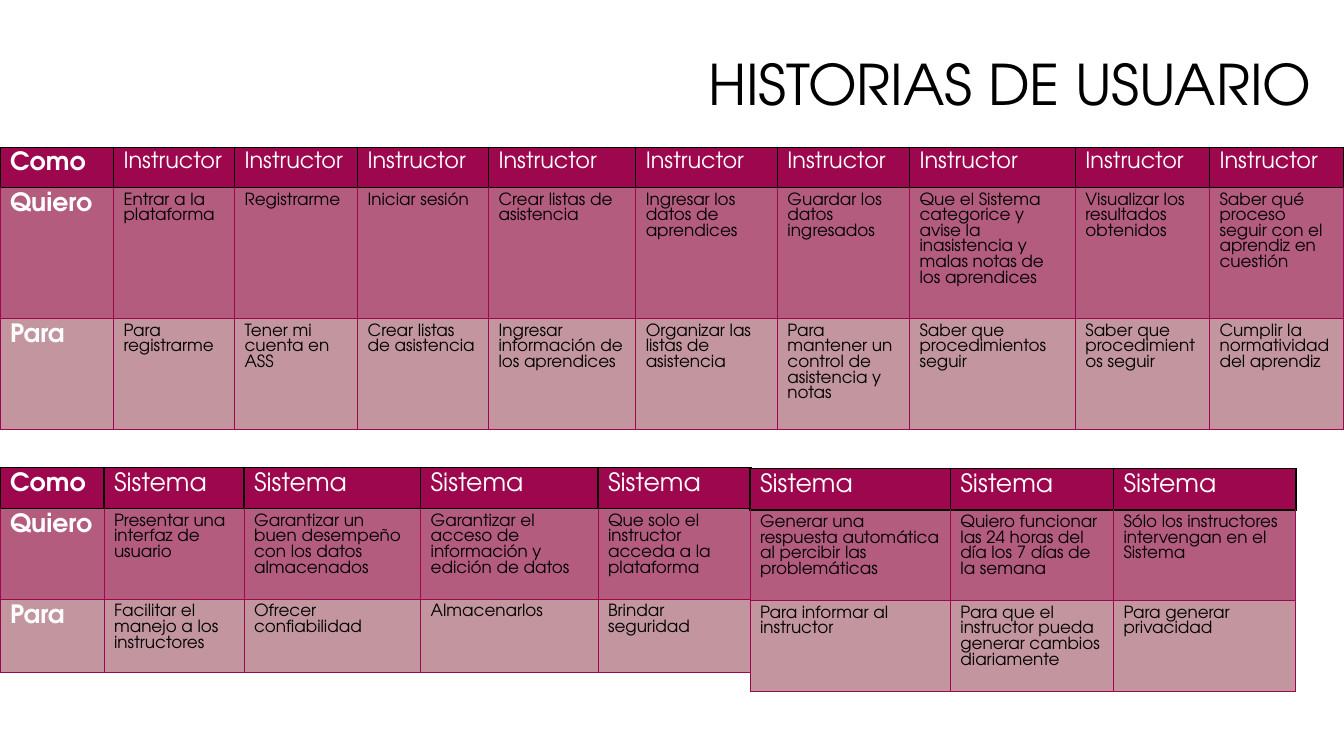
from lxml import etree
from pptx import Presentation, util as u
from pptx.dml.color import RGBColor
from pptx.enum import text
from pptx.oxml.ns import qn

FONT = "TeX Gyre Adventor"
BLACK = RGBColor(0x00, 0x00, 0x00)
WHITE = RGBColor(0xFF, 0xFF, 0xFF)
WINE = RGBColor(0x9D, 0x07, 0x4E)
ROSE = RGBColor(0xB3, 0x5C, 0x7E)
PALE = RGBColor(0xC2, 0x95, 0x9F)
FILLS = WINE, ROSE, PALE
LABELS = "Como", "Quiero", "Para"

TEACH = [
    (3.05, "Entrar a la plataforma", "Para registrarme"),
    (3.1, "Registrarme", "Tener mi cuenta en ASS"),
    (3.3, "Iniciar sesión", "Crear listas de asistencia"),
    (3.71, "Crear listas de asistencia", "Ingresar información de los aprendices"),
    (3.57, "Ingresar los datos de aprendices", "Organizar las listas de asistencia"),
    (3.33, "Guardar los datos ingresados",
     "Para mantener un control de asistencia y notas"),
    (4.18, "Que el Sistema categorice y avise la inasistencia y malas notas de los aprendices",
     "Saber que procedimientos seguir"),
    (3.38, "Visualizar los resultados obtenidos", "Saber que procedimientos seguir"),
    (3.38, "Saber qué proceso seguir con el aprendiz en cuestión",
     "Cumplir la normatividad del aprendiz"),
]
SYSTEM = [
    (3.53, "Presentar una interfaz de usuario", "Facilitar el manejo a los instructores"),
    (4.45, "Garantizar un buen desempeño con los datos almacenados", "Ofrecer confiabilidad"),
    (4.47, "Garantizar el acceso de información y edición de datos", "Almacenarlos"),
    (3.86, "Que solo el instructor acceda a la plataforma", "Brindar seguridad"),
]
EXTRA = [
    (5.05, "Generar una respuesta automática al percibir las problemáticas",
     "Para informar al instructor"),
    (4.11, "Quiero funcionar las 24 horas del día los 7 días de la semana",
     "Para que el instructor pueda generar cambios diariamente"),
    (4.6, "Sólo los instructores intervengan en el Sistema", "Para generar privacidad"),
]


def style(para, size, color, bold=False):
    """Format every run of a paragraph."""
    for run in para.runs:
        font = run.font
        font.name, font.size, font.bold = FONT, u.Pt(size), bold
        font.color.rgb = color


def border(cell, row):
    """Draw the four edges of a cell: black around the header, wine below."""
    props = cell._tc.get_or_add_tcPr()
    for side in "LRTB":
        dark = row == 0 or (row == 1 and side == "T")
        width = u.Pt(1 if dark else 0.75)
        line = etree.SubElement(props, qn("a:ln" + side), w=str(int(width)))
        fill = etree.SubElement(line, qn("a:solidFill"))
        etree.SubElement(fill, qn("a:srgbClr"), val=str(BLACK if dark else WINE))


def title(slide, box):
    """Place the right-aligned slide title in its box."""
    frame = slide.shapes.add_textbox(*map(u.Cm, box)).text_frame
    frame.word_wrap = True
    frame.vertical_anchor = text.MSO_ANCHOR.MIDDLE
    para = frame.paragraphs[0]
    para.text = "HISTORIAS DE USUARIO"
    para.alignment = text.PP_ALIGN.RIGHT
    para.line_spacing = 0.9
    style(para, 40, BLACK)


def stories(slide, left, top, role, items, highs, size=18, label=0):
    """Build a story table, led by a label column when its width is given."""
    cols = [(width, (role, want, goal)) for width, want, goal in items]
    if label:
        cols.insert(0, (label, LABELS))
    total = sum(width for width, _ in cols)
    box = map(u.Cm, (left, top, total, sum(highs)))
    table = slide.shapes.add_table(len(highs), len(cols), *box).table
    table.first_row = table.horz_banding = False
    for row, high in enumerate(highs):
        table.rows[row].height = u.Cm(high)
    for col, (width, words) in enumerate(cols):
        table.columns[col].width = u.Cm(width)
        head = bool(label) and col == 0
        for row, word in enumerate(words):
            cell = table.cell(row, col)
            border(cell, row)
            cell.fill.solid()
            cell.fill.fore_color.rgb = FILLS[row]
            para = cell.text_frame.paragraphs[0]
            para.text = word
            if head:
                style(para, 18, WHITE, True)
            elif row == 0:
                style(para, size, WHITE)
            else:
                style(para, 12, BLACK)


def main():
    """Build and save the slide."""
    deck = Presentation()
    deck.slide_width, deck.slide_height = u.Cm(33.87), u.Cm(19.05)
    slide = deck.slides.add_slide(deck.slide_layouts[6])
    title(slide, (9.37, 0.41, 23.93, 3.58))
    stories(slide, 0, 3.71, "Instructor", TEACH, (0.93, 2.63, 2.24), 16, 2.86)
    low = 1.04, 1.83, 1.83
    stories(slide, 0, 11.78, "Sistema", SYSTEM, low, label=2.62)
    stories(slide, 18.9, 11.81, "Sistema", EXTRA, low)
    deck.save("out.pptx")


if __name__ == "__main__":
    main()
